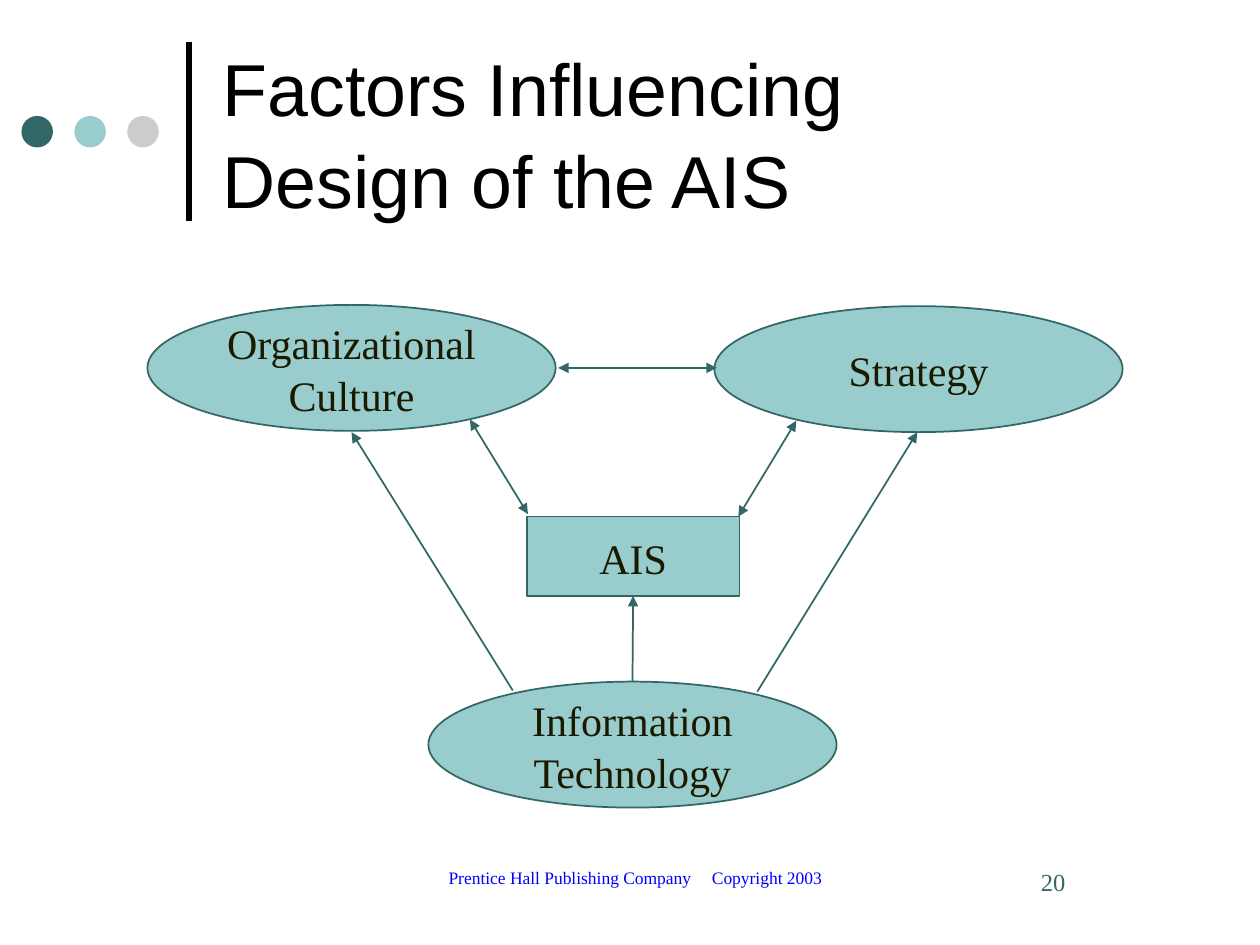
from lxml import etree
from pptx import Presentation
from pptx.dml.color import RGBColor
from pptx.enum.shapes import MSO_CONNECTOR, MSO_SHAPE
from pptx.enum.text import MSO_ANCHOR, PP_ALIGN
from pptx.oxml.ns import qn
from pptx.util import Pt

PX = 9144
OVAL, RECT = MSO_SHAPE.OVAL, MSO_SHAPE.RECTANGLE
LINE = MSO_CONNECTOR.STRAIGHT
MID, TOP = MSO_ANCHOR.MIDDLE, MSO_ANCHOR.TOP
LEFT, CENTER = PP_ALIGN.LEFT, PP_ALIGN.CENTER
SANS, SERIF = "Arial", "Times New Roman"
HUES = {"black": "000000", "teal": "336666", "aqua": "99CCCC",
        "gray": "CCCCCC", "ink": "1A1A00", "blue": "0000FF"}


def color(name):
    return RGBColor.from_string(HUES[name])


class Deck:
    """Holds the style and the current slide, and draws each kind of element."""

    def __init__(self, width, height):
        self.file = Presentation()
        self.file.slide_width, self.file.slide_height = width * PX, height * PX
        self.slide = self.file.slides.add_slide(self.file.slide_layouts[6])

    def label(self, frame, text, size, hue, face=SERIF, align=LEFT, space=None):
        frame.text = text
        for par in frame.paragraphs:
            par.alignment = align
            par.line_spacing = space
            par.font.size, par.font.name = Pt(size), face
            par.font.color.rgb = color(hue)

    def text(self, x, y, w, h, text, size, hue, inset=10, anchor=TOP, **style):
        box = self.slide.shapes.add_textbox(x * PX, y * PX, w * PX, h * PX)
        frame = box.text_frame
        frame.word_wrap, frame.vertical_anchor = True, anchor
        frame.margin_left = inset * PX
        self.label(frame, text, size, hue, **style)
        return frame

    def shape(self, kind, x, y, w, h, fill):
        item = self.slide.shapes.add_shape(kind, x * PX, y * PX, w * PX, h * PX)
        item.shadow.inherit = False
        item.fill.solid()
        item.fill.fore_color.rgb = color(fill)
        item.line.fill.background()
        return item

    def node(self, kind, x, y, w, h, text):
        item = self.shape(kind, x, y, w, h, "aqua")
        item.line.color.rgb, item.line.width = color("teal"), Pt(1)
        frame = item.text_frame
        frame.word_wrap, frame.vertical_anchor = False, MID
        self.label(frame, text, 24, "ink", align=CENTER, space=1.04)
        return item

    def line(self, x1, y1, x2, y2, ends=(), hue="teal", width=1):
        item = self.slide.shapes.add_connector(
            LINE, x1 * PX, y1 * PX, x2 * PX, y2 * PX)
        item.line.color.rgb, item.line.width = color(hue), Pt(width)
        props = item._element.spPr
        stroke = props.find(qn("a:ln"))
        for end in ends:
            etree.SubElement(stroke, qn(f"a:{end}End"), type="triangle")
        etree.SubElement(props, qn("a:effectLst"))
        return item

    def save(self):
        self.file.save("out.pptx")


def main():
    deck = Deck(1000, 750)
    deck.line(150, 175, 150, 33, hue="black", width=3)
    for i, hue in enumerate(("teal", "aqua", "gray")):
        deck.shape(OVAL, 17 + 42 * i, 92, 25, 25, hue)
    deck.text(167, 21, 767, 167, "Factors Influencing\vDesign of the AIS",
              42, "black", anchor=MID, face=SANS, space=1.04)

    deck.node(OVAL, 117, 242, 324, 100, "Organizational\nCulture")
    deck.node(OVAL, 567, 243, 324, 100, "Strategy")
    tech = deck.node(OVAL, 340, 541, 324, 100, "Information\nTechnology")
    core = deck.node(RECT, 418, 410, 169, 63, "AIS")

    link = deck.line(502, 541, 502, 473, ["tail"])
    link.begin_connect(tech, 0)
    link.end_connect(core, 2)
    both = ["head", "tail"]
    deck.line(419, 408, 373, 333, both)
    deck.line(632, 334, 586, 410, both)
    deck.line(443, 292, 569, 292, both)
    deck.line(601, 549, 728, 343, ["tail"])
    deck.line(407, 548, 279, 343, ["tail"])

    frame = deck.text(283, 683, 442, 50,
                      "Prentice Hall Publishing Company\tCopyright 2003",
                      10, "blue", inset=73)
    props = frame.paragraphs[0]._p.get_or_add_pPr()
    tabs = etree.Element(qn("a:tabLst"))
    etree.SubElement(tabs, qn("a:tab"), pos=str(209 * PX), algn="l")
    props.insert(0, tabs)
    deck.text(792, 683, 142, 50, "20", 14, "teal", inset=34)
    deck.save()


if __name__ == "__main__":
    main()
